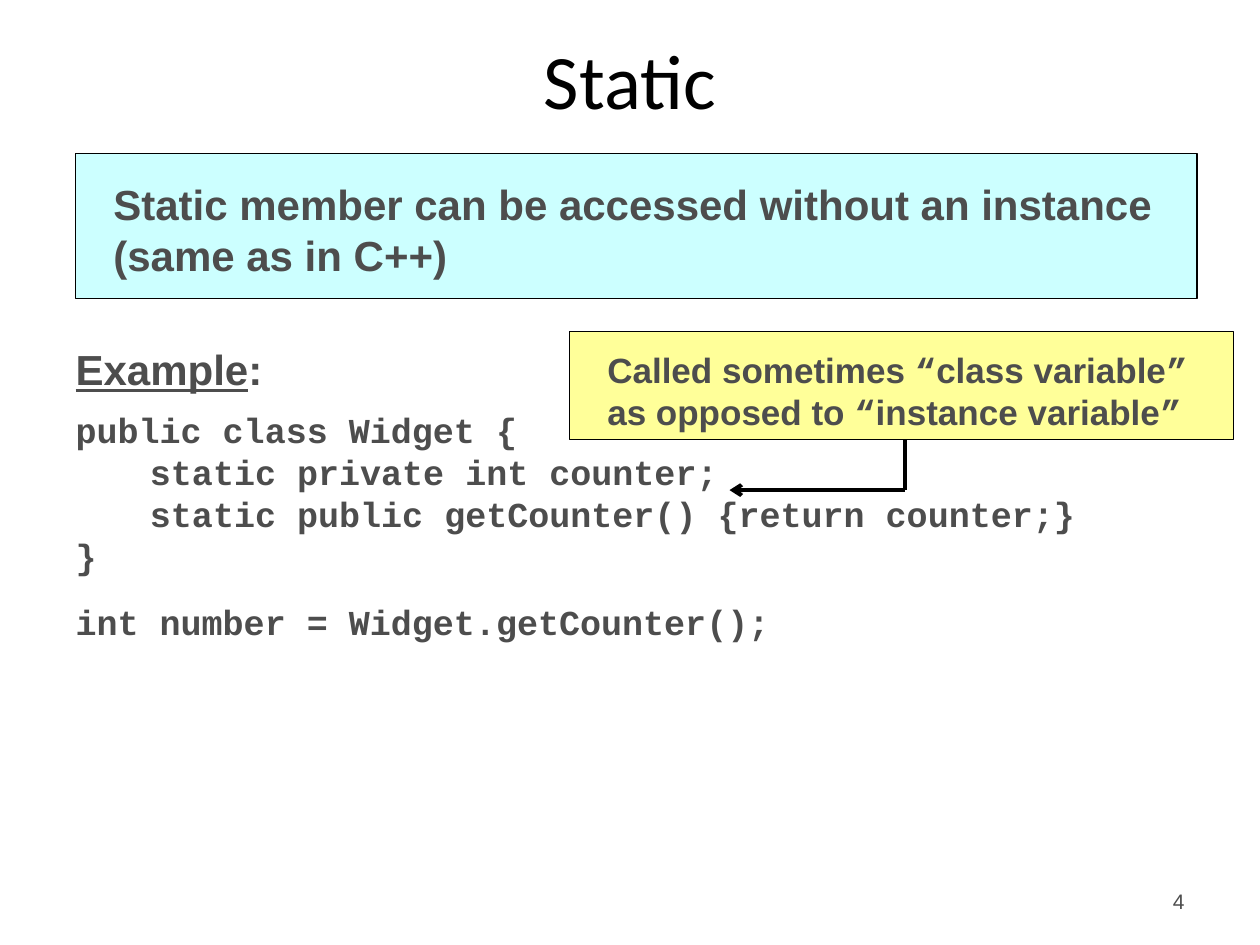
from pptx import Presentation
from pptx.dml.color import RGBColor
from pptx.enum.shapes import MSO_CONNECTOR, MSO_SHAPE
from pptx.enum.text import MSO_ANCHOR, MSO_AUTO_SIZE, PP_ALIGN
from pptx.oxml.ns import qn
from pptx.util import Inches, Pt
from lxml.etree import SubElement

COLORS = {"text": "4D4D4D", "black": "000000", "banner": "CCFFFF", "note": "FFFF99"}
SANS, MONO = "Arial", "Courier New"
CODE = [  # text, indent level, points before
    ("public class Widget {", 0, 8),
    ("static private int counter;", 1, 0),
    ("static public getCounter() {return counter;}", 1, 0),
    ("}", 0, 0),
    ("int number = Widget.getCounter();", 0, 14),
]


def color(name):
    return RGBColor.from_string(COLORS[name])


def place(shape, box):
    shape.left, shape.top, shape.width, shape.height = map(Inches, box)


def style(run, size, font=SANS, bold=True, hue="text"):
    run.font.size, run.font.name, run.font.bold = Pt(size), font, bold
    run.font.color.rgb = color(hue)


def add_title(slide, box):
    title = slide.shapes.title
    place(title, box)
    title.text_frame.text = "Static"
    title.text_frame.vertical_anchor = MSO_ANCHOR.MIDDLE
    para = title.text_frame.paragraphs[0]
    para.alignment = PP_ALIGN.CENTER
    style(para.runs[0], 44, "Calibri", False, "black")


def set_indent(para, level):
    """Drop the bullet and indent the whole paragraph."""
    props = para._p.get_or_add_pPr()
    props.set("marL", str(Inches(0.59 * level)))
    props.set("indent", "0")
    SubElement(props, qn("a:buNone"))


def add_code(slide, box):
    body = slide.placeholders[1]
    place(body, box)
    frame = body.text_frame
    frame.auto_size = MSO_AUTO_SIZE.NONE
    head = frame.paragraphs[0]
    for text, line in (("Example", True), (":", False)):
        run = head.add_run()
        run.text = text
        style(run, 24)
        run.font.underline = line
    head.space_before = Pt(0)
    set_indent(head, 0)
    for text, level, before in CODE:
        para = frame.add_paragraph()
        para.text = text
        para.space_before, para.line_spacing = Pt(before), Pt(24)
        set_indent(para, level)
        style(para.runs[0], 20, MONO)


def add_panel(slide, box, fill, parts, size, anchor, insets):
    """Outlined box whose text is a list of (text, font) parts."""
    panel = slide.shapes.add_shape(MSO_SHAPE.RECTANGLE, *map(Inches, box))
    panel.shadow.inherit = False
    panel.fill.solid()
    panel.fill.fore_color.rgb = color(fill)
    panel.line.color.rgb = color("black")
    panel.line.width = Pt(0.75)
    frame = panel.text_frame
    frame.word_wrap, frame.vertical_anchor = True, anchor
    (frame.margin_left, frame.margin_top,
     frame.margin_right, frame.margin_bottom) = map(Inches, insets)
    para = frame.paragraphs[0]
    para.alignment = PP_ALIGN.LEFT
    for text, font in parts:
        run = para.add_run()
        run.text = text
        style(run, size, font)


def add_line(slide, start, end, arrow=False):
    ends = map(Inches, start + end)
    line = slide.shapes.add_connector(MSO_CONNECTOR.STRAIGHT, *ends)
    line.line.color.rgb = color("black")
    line.line.width = Pt(2.25)
    if arrow:
        SubElement(line.line._get_or_add_ln(), qn("a:tailEnd"), type="arrow")
    SubElement(line._element.spPr, qn("a:effectLst"))


def add_note(slide, box):
    """Yellow note with an elbow arrow to the static variable."""
    parts = [("Called sometimes ", SANS), ("“", MONO), ("class variable", SANS),
             ("”", MONO), (" as opposed to ", SANS), ("“", MONO),
             ("instance variable", SANS), ("”", MONO)]
    left, top, width, height = box
    x, y = left + 2.66, top + height
    add_line(slide, (x, y), (x, y + 0.4))
    add_panel(slide, box, "note", parts, 20, MSO_ANCHOR.MIDDLE, (0.3, 0.16, 0.1, 0.08))
    add_line(slide, (x, y + 0.4), (x - 1.39, y + 0.4), arrow=True)


def add_number(slide, box):
    frame = slide.shapes.add_textbox(*map(Inches, box)).text_frame
    frame.word_wrap, frame.vertical_anchor = True, MSO_ANCHOR.MIDDLE
    frame.text = "4"
    frame.paragraphs[0].alignment = PP_ALIGN.RIGHT
    style(frame.paragraphs[0].runs[0], 12, bold=False)


def main():
    deck = Presentation()
    deck.slide_width, deck.slide_height = Inches(10), Inches(7.5)
    slide = deck.slides.add_slide(deck.slide_layouts[1])
    add_number(slide, (7.17, 6.95, 2.33, 0.4))
    add_title(slide, (0, 0.16, 10, 0.93))
    add_code(slide, (0.5, 2.68, 9, 2.92))
    text = "Static member can be accessed without an instance (same as in C++)"
    add_panel(slide, (0.6, 1.22, 8.9, 1.15), "banner", [(text, SANS)], 24,
              MSO_ANCHOR.TOP, (0.3, 0.2, 0, 0))
    add_note(slide, (4.52, 2.63, 5.27, 0.86))
    deck.save("out.pptx")


if __name__ == "__main__":
    main()
